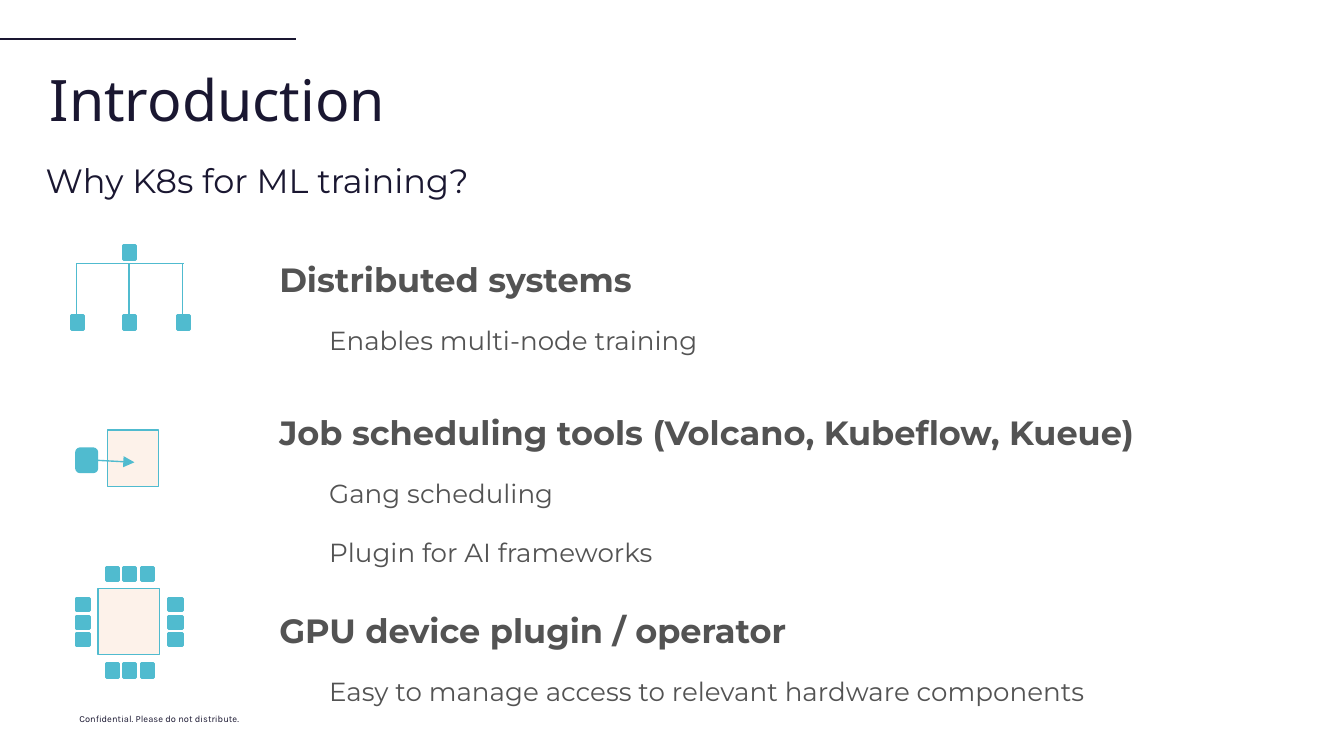
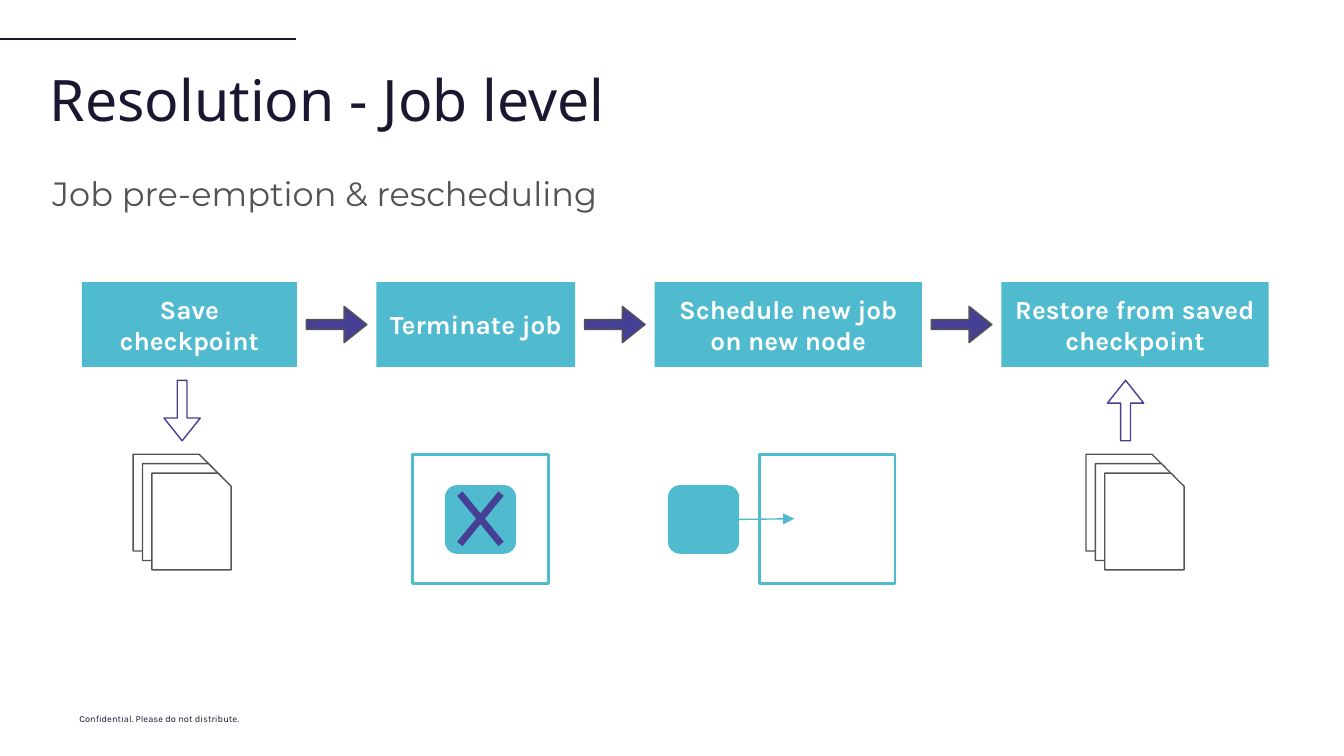
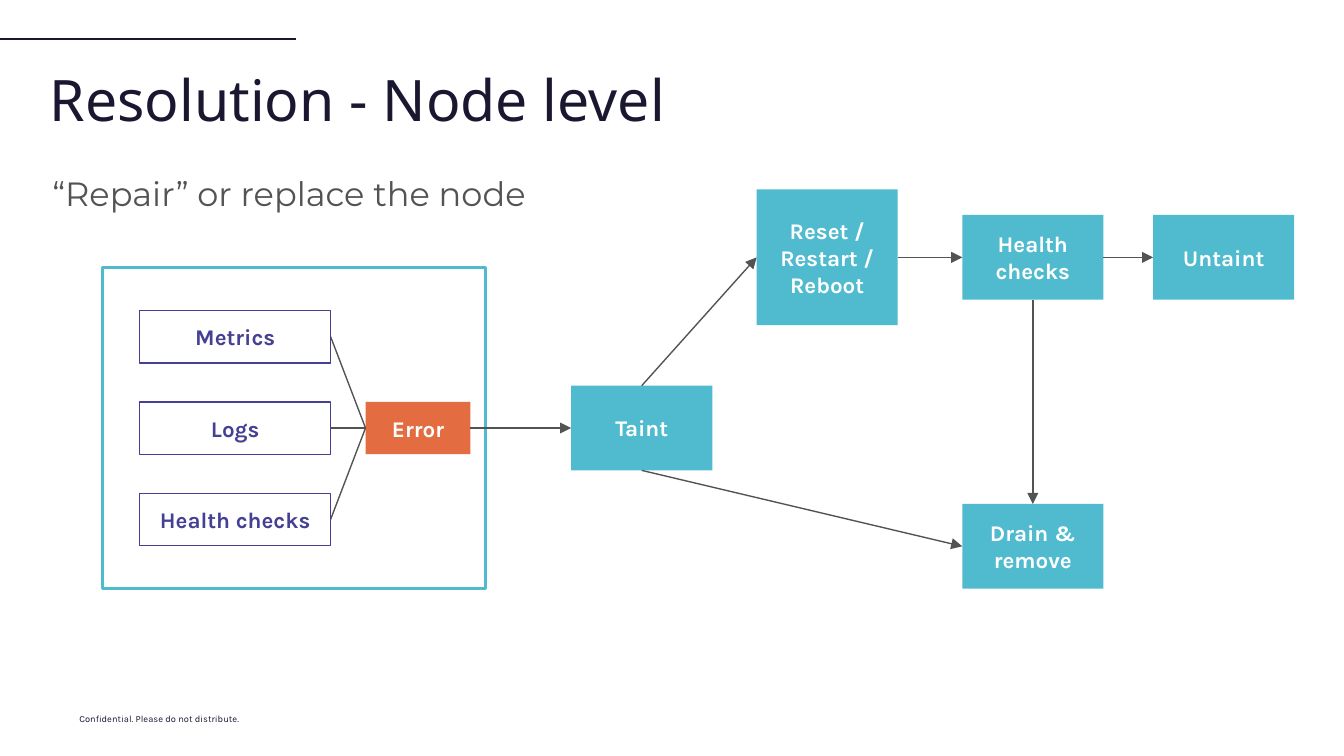
from dataclasses import dataclass

from lxml.etree import SubElement
from pptx import Presentation
from pptx.dml.color import RGBColor
from pptx.enum.shapes import MSO_CONNECTOR, MSO_SHAPE as SHAPE
from pptx.enum.text import MSO_ANCHOR as ANCHOR, MSO_AUTO_SIZE, PP_ALIGN as ALIGN
from pptx.oxml.ns import qn
from pptx.util import Inches, Pt


@dataclass(frozen=True)
class Theme:
    navy: str = "1A1731"
    gray: str = "535353"
    teal: str = "50BBCF"
    purple: str = "454093"
    orange: str = "E36D41"
    cream: str = "FDF2EA"
    white: str = "FFFFFF"
    title_font: str = "Noto Sans"
    body_font: str = "Montserrat"
    label_font: str = "Karla"
    title_size: float = 30.6
    heading_size: float = 18
    body_size: float = 14
    step_size: float = 14
    node_size: float = 12
    footer_size: float = 5
    thin: float = 0.75
    thick: float = 1.5


theme = Theme()


def add_box(slide, kind, at, fill=None, line=None, width=theme.thin, adjust=(), rotation=0,
            text="", size=theme.node_size, color=theme.white, font=theme.label_font,
            bold=True, inset_left=0.1, anchor=ANCHOR.MIDDLE, space_after=12):
    """Add a shape with a centred label, or a left-aligned text box if kind is None."""
    frame = [Inches(length) for length in at]
    if kind is None:
        shape = slide.shapes.add_textbox(*frame)
    else:
        shape = slide.shapes.add_shape(kind, *frame)
        shape.shadow.inherit = False
        shape.rotation = rotation
        for index, value in enumerate(adjust):
            shape.adjustments[index] = value
        for part, part_color in ((shape.fill, fill), (shape.line.fill, line)):
            if part_color:
                part.solid()
                part.fore_color.rgb = RGBColor.from_string(part_color)
            else:
                part.background()
        if line:
            shape.line.width = Pt(width)
    if not text:
        return shape

    text_frame = shape.text_frame
    text_frame.text = text
    text_frame.word_wrap = True
    text_frame.vertical_anchor = anchor
    text_frame.margin_left = Inches(inset_left)
    text_frame.margin_right = text_frame.margin_top = text_frame.margin_bottom = Inches(0.1)
    for index, paragraph in enumerate(text_frame.paragraphs):
        if kind is None:
            paragraph.alignment = ALIGN.LEFT
            paragraph.line_spacing = 1.15
            if index:
                paragraph.space_before = Pt(12)
        else:
            paragraph.alignment = ALIGN.CENTER
        for run in paragraph.runs:
            run.font.name = font
            run.font.size = Pt(size)
            run.font.bold = bold
            run.font.color.rgb = RGBColor.from_string(color)
    if kind is None:
        text_frame.paragraphs[-1].space_after = Pt(space_after)
    return shape


def add_line(slide, color, start=(0, 0), end=(0, 0), arrow=False):
    points = [Inches(length) for length in (*start, *end)]
    line = slide.shapes.add_connector(MSO_CONNECTOR.STRAIGHT, *points)
    line.line.color.rgb = RGBColor.from_string(color)
    line.line.width = Pt(theme.thin)
    properties = line.element.spPr
    if arrow:
        SubElement(properties.find(qn("a:ln")), qn("a:tailEnd"), type="triangle")
    SubElement(properties, qn("a:effectLst"))
    return line


presentation = Presentation()
presentation.slide_width = Inches(10)
presentation.slide_height = Inches(10 * 9 / 16)
layout = presentation.slide_layouts[5]

# Titles and subtitles
slides = []
for title_text, subtitle, subtitle_at, subtitle_color in (
    ("Introduction", "Why K8s for ML training?", (0.34, 1.07, 7.8, 0.49), theme.navy),
    ("Resolution - Job level", "Job pre-emption & rescheduling",
     (0.39, 1.17, 8.43, 0.49), theme.gray),
    ("Resolution - Node level", "“Repair” or replace the node",
     (0.39, 1.17, 8.43, 0.49), theme.gray),
):
    slide = presentation.slides.add_slide(layout)
    slides.append(slide)
    title = slide.shapes.title
    title.left, title.top = Inches(0.37), Inches(0.38)
    title.width, title.height = Inches(9.26), Inches(0.63)
    text_frame = title.text_frame
    text_frame.text = title_text
    text_frame.auto_size = MSO_AUTO_SIZE.NONE
    text_frame.vertical_anchor = ANCHOR.TOP
    text_frame.margin_left = 0
    text_frame.margin_right = text_frame.margin_top = text_frame.margin_bottom = Inches(0.1)
    paragraph = text_frame.paragraphs[0]
    paragraph.alignment = ALIGN.LEFT
    font = paragraph.runs[0].font
    font.name, font.size = theme.title_font, Pt(theme.title_size)
    font.color.rgb = RGBColor.from_string(theme.navy)
    add_box(slide, None, subtitle_at, text=subtitle, size=theme.heading_size,
            color=subtitle_color, font=theme.body_font, bold=False, inset_left=0)

intro, job_level, node_level = slides

# The top rule and the footer belong to the layout, in place of its own footers
for placeholder in list(layout.placeholders)[1:]:
    layout.shapes.element.remove(placeholder.element)
top_rule = add_line(intro, theme.navy, (-0.01, 0.29), (2.2, 0.29))
footer = add_box(intro, None, (0.59, 5.25, 2.69, 0.38),
                 text="Confidential. Please do not distribute.", size=theme.footer_size,
                 color=theme.navy, bold=False, inset_left=0, anchor=ANCHOR.TOP,
                 space_after=0)
for shared in (top_rule, footer):
    layout.shapes.element.append(shared.element)

# Slide 1: reasons
for heading, heading_top, details, details_height in (
    ("Distributed systems", 1.78, "Enables multi-node training", 0.44),
    ("Job scheduling tools (Volcano, Kubeflow, Kueue)", 2.92,
     "Gang scheduling\nPlugin for AI frameworks", 0.88),
    ("GPU device plugin / operator", 4.39,
     "Easy to manage access to relevant hardware components", 0.44),
):
    add_box(intro, None, (1.98, heading_top, 7.14, 0.5), text=heading,
            size=theme.heading_size, color=theme.gray, font=theme.body_font,
            anchor=ANCHOR.TOP)
    add_box(intro, None, (2.35, heading_top + 0.5, 7.18, details_height), text=details,
            size=theme.body_size, color=theme.gray, font=theme.body_font, bold=False,
            anchor=ANCHOR.TOP)

# Slide 1: tree icon
add_line(intro, theme.teal, (0.57, 1.96), (1.37, 1.96))
for branch_x in (0.57, 0.96, 1.36):
    add_line(intro, theme.teal, (branch_x, 1.96), (branch_x, 2.38))

# Slide 1: scheduling icon
job = add_box(intro, SHAPE.ROUNDED_RECTANGLE, (0.57, 3.34, 0.15, 0.17), theme.teal,
              theme.teal, theme.thick, adjust=[0.167])
add_box(intro, SHAPE.RECTANGLE, (0.8, 3.2, 0.38, 0.42), theme.cream, theme.teal)
add_line(intro, theme.teal, (0.73, 3.43), (1, 3.44), arrow=True).begin_connect(job, 3)

# Slide 1: chip icon, then the small blocks of the tree and the chip
add_box(intro, SHAPE.RECTANGLE, (0.73, 4.38, 0.46, 0.49), theme.cream, theme.teal)
blocks = [(0.92, 1.83, 0), (0.53, 2.35, 0), (0.92, 2.35, 0), (1.32, 2.35, 0)]
for pin in range(3):
    offset = 0.13 * pin
    blocks += [(0.79 + offset, top, 0) for top in (4.22, 4.94)]
    blocks += [(left, 4.45 + offset, 90) for left in (0.57, 1.26)]
for left, top, rotation in blocks:
    add_box(intro, SHAPE.RECTANGLE, (left, top, 0.09, 0.1), theme.teal, theme.teal,
            theme.thick, rotation=rotation)

# Slide 2: steps
arrow_shape = [0.269, 0.626]
for left, width, step in (
    (0.61, 1.6, "Save checkpoint"),
    (2.8, 1.48, "Terminate job"),
    (4.87, 1.99, "Schedule new job on new node"),
    (7.45, 1.99, "Restore from saved checkpoint"),
):
    add_box(job_level, SHAPE.RECTANGLE, (left, 2.1, width, 0.63), theme.teal, text=step,
            size=theme.step_size)
for left in (2.28, 4.35, 6.93):
    add_box(job_level, SHAPE.RIGHT_ARROW, (left, 2.28, 0.45, 0.27), theme.purple,
            theme.gray, adjust=arrow_shape)

# Slide 2: checkpoint files
for arrow_left, rotation, files_left in ((1.13, 90, 0.99), (8.15, 270, 8.08)):
    add_box(job_level, SHAPE.RIGHT_ARROW, (arrow_left, 2.92, 0.45, 0.27),
            line=theme.purple, adjust=arrow_shape, rotation=rotation)
    for page in range(3):
        offset = 0.07 * page
        add_box(job_level, SHAPE.SNIP_1_RECTANGLE,
                (files_left + offset, 3.38 + offset, 0.59, 0.72), theme.white, theme.gray,
                adjust=[0.167])

# Slide 2: nodes and their jobs
for node_left, job_left in ((3.07, 3.32), (5.65, 4.98)):
    add_box(job_level, SHAPE.RECTANGLE, (node_left, 3.38, 1.01, 0.96), theme.white,
            theme.teal, theme.thick)
    job = add_box(job_level, SHAPE.ROUNDED_RECTANGLE, (job_left, 3.62, 0.51, 0.49),
                  theme.teal, theme.teal, theme.thick, adjust=[0.167])
add_line(job_level, theme.teal, (5.49, 3.87), (5.91, 3.86), arrow=True).begin_connect(job, 3)
add_box(job_level, SHAPE.MATH_MULTIPLY, (3.28, 3.5, 0.59, 0.72), theme.purple,
        adjust=[0.087])

# Slide 3: error signals
add_box(node_level, SHAPE.RECTANGLE, (0.76, 1.99, 2.85, 2.39), theme.white, theme.teal,
        theme.thick)
error = add_box(node_level, SHAPE.RECTANGLE, (2.72, 2.99, 0.78, 0.39), theme.orange,
                text="Error")
links = []
for row, signal in enumerate(("Metrics", "Logs", "Health checks")):
    source = add_box(node_level, SHAPE.RECTANGLE, (1.04, 2.31 + 0.68 * row, 1.42, 0.39),
                     theme.white, theme.purple, text=signal, color=theme.purple)
    links.append((source, 3, error, 1, False))

# Slide 3: repair flow
taint, reset, checks, drain, untaint = [
    add_box(node_level, SHAPE.RECTANGLE, (left, top, 1.05, height), theme.teal, text=label)
    for left, top, height, label in (
        (4.25, 2.87, 0.63, "Taint"),
        (5.63, 1.41, 1.01, "Reset /\nRestart /\nReboot"),
        (7.16, 1.6, 0.63, "Health checks"),
        (7.16, 3.75, 0.63, "Drain & remove"),
        (8.58, 1.6, 0.63, "Untaint"),
    )
]
links += [
    (error, 3, taint, 1, True),
    (taint, 0, reset, 1, True),
    (taint, 2, drain, 1, True),
    (reset, 3, checks, 1, True),
    (checks, 3, untaint, 1, True),
    (checks, 2, drain, 0, True),
]
for source, source_side, target, target_side, arrow in links:
    link = add_line(node_level, theme.gray, arrow=arrow)
    link.begin_connect(source, source_side)
    link.end_connect(target, target_side)

presentation.save("out.pptx")
